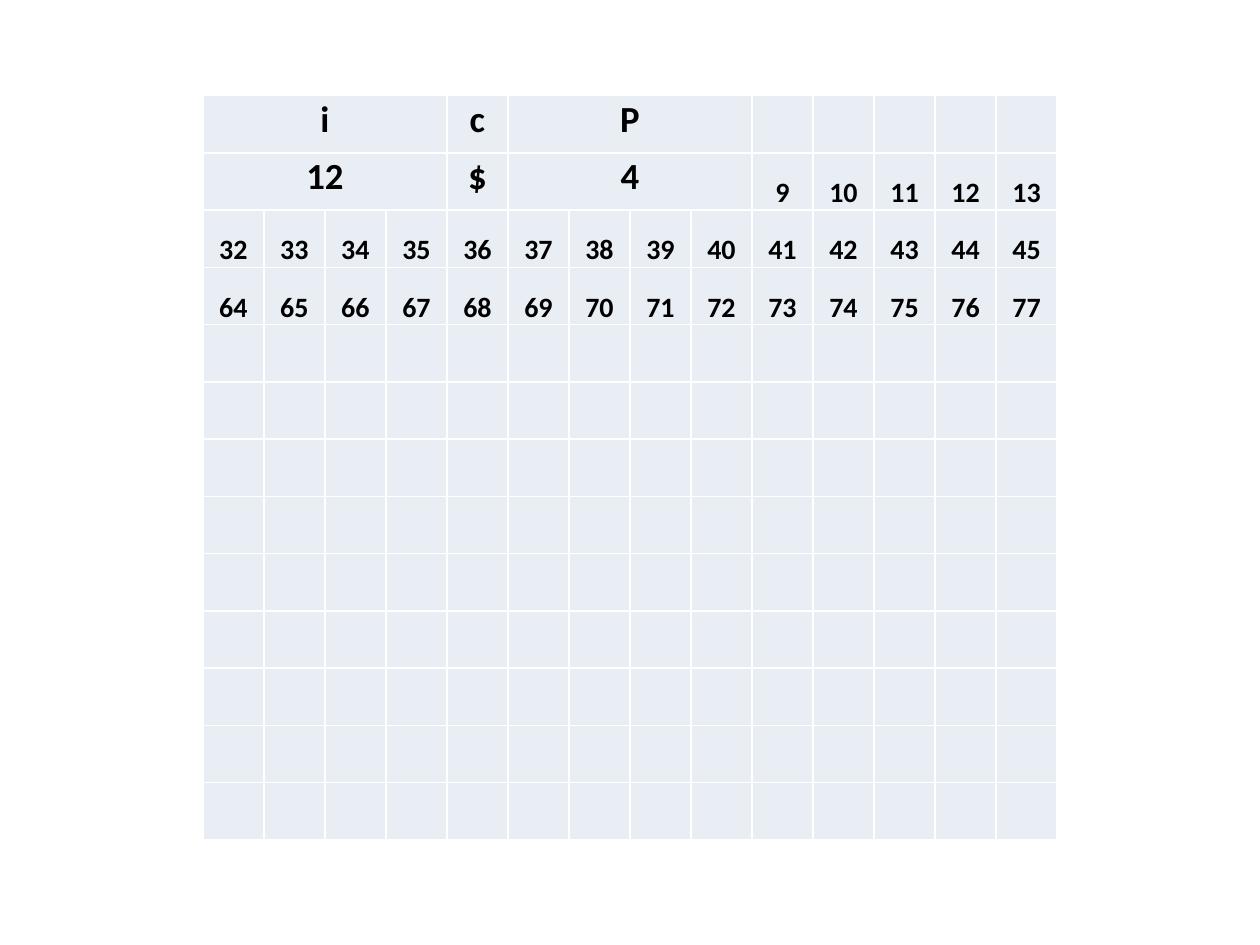
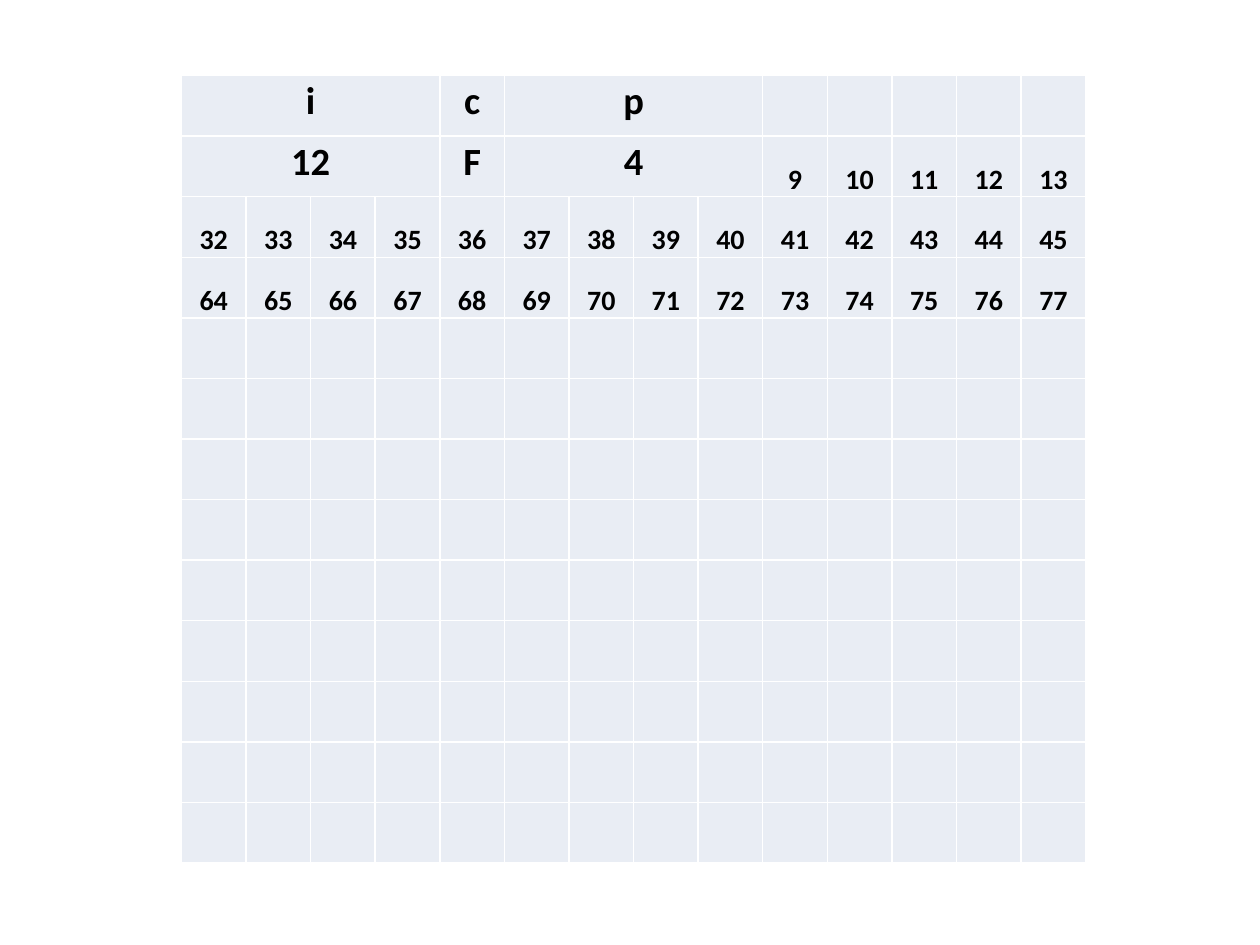
from lxml import etree
from pptx import Presentation
from pptx.dml.color import RGBColor
from pptx.enum import text
from pptx.oxml import ns
from pptx.util import Inches, Pt

CELL_FILL = RGBColor(0xE9, 0xED, 0xF4)
GRID_LINE = RGBColor(0xFF, 0xFF, 0xFF)
INK = RGBColor(0x00, 0x00, 0x00)
FONT = "Calibri"
ROWS, COLUMNS = 13, 14
NUMBER_SIZE = 16
HEADER_SPANS = {0: 4, 4: 1, 5: 4}
NUMBERS = {1: range(9, 14), 2: range(32, 46), 3: range(64, 78)}


def style_cell(cell):
    properties = cell._tc.get_or_add_tcPr()
    for side in ("lnL", "lnR", "lnT", "lnB"):
        line = etree.SubElement(properties, ns.qn(f"a:{side}"), w=str(Pt(1)))
        solid = etree.SubElement(line, ns.qn("a:solidFill"))
        etree.SubElement(solid, ns.qn("a:srgbClr"), val=str(GRID_LINE))
    cell.fill.solid()
    cell.fill.fore_color.rgb = CELL_FILL


def write_cell(cell, words, size, inset, anchor):
    cell.margin_left = cell.margin_right = cell.margin_top = Inches(inset)
    cell.margin_bottom = 0
    cell.vertical_anchor = anchor
    para = cell.text_frame.paragraphs[0]
    para.alignment = text.PP_ALIGN.CENTER
    span = para.add_run()
    span.text = words
    span.font.name = FONT
    span.font.size = Pt(size)
    span.font.bold = True
    span.font.color.rgb = INK


element_tables = [
    {"place": (1.61, 0.76, 6.78, 5.91), "inset": 0.01, "header_size": 21,
     "headers": [("i", "c", "P"), ("12", "$", "4")]},
    {"place": (1.44, 0.6, 7.18, 6.25), "inset": 0.02, "header_size": 22,
     "headers": [("i", "c", "p"), ("12", "F", "4")]},
]

deck = Presentation()
deck.slide_width = Inches(10)
deck.slide_height = Inches(7.5)

for layout in element_tables:
    page = deck.slides.add_slide(deck.slide_layouts[6])
    left, top, width, height = map(Inches, layout["place"])
    table = page.shapes.add_table(ROWS, COLUMNS, left, top, width, height).table
    table.first_row = False
    table.horz_banding = False
    for column in table.columns:
        column.width = width // COLUMNS
    for row in table.rows:
        row.height = height // ROWS
    for cell in table.iter_cells():
        style_cell(cell)

    for row, labels in enumerate(layout["headers"]):
        for (start, count), label in zip(HEADER_SPANS.items(), labels):
            cell = table.cell(row, start)
            if count > 1:
                cell.merge(table.cell(row, start + count - 1))
            write_cell(cell, label, layout["header_size"], layout["inset"],
                       text.MSO_ANCHOR.TOP)

    for row, numbers in NUMBERS.items():
        for column, number in enumerate(numbers, COLUMNS - len(numbers)):
            write_cell(table.cell(row, column), str(number), NUMBER_SIZE,
                       layout["inset"], text.MSO_ANCHOR.BOTTOM)

deck.save("out.pptx")
